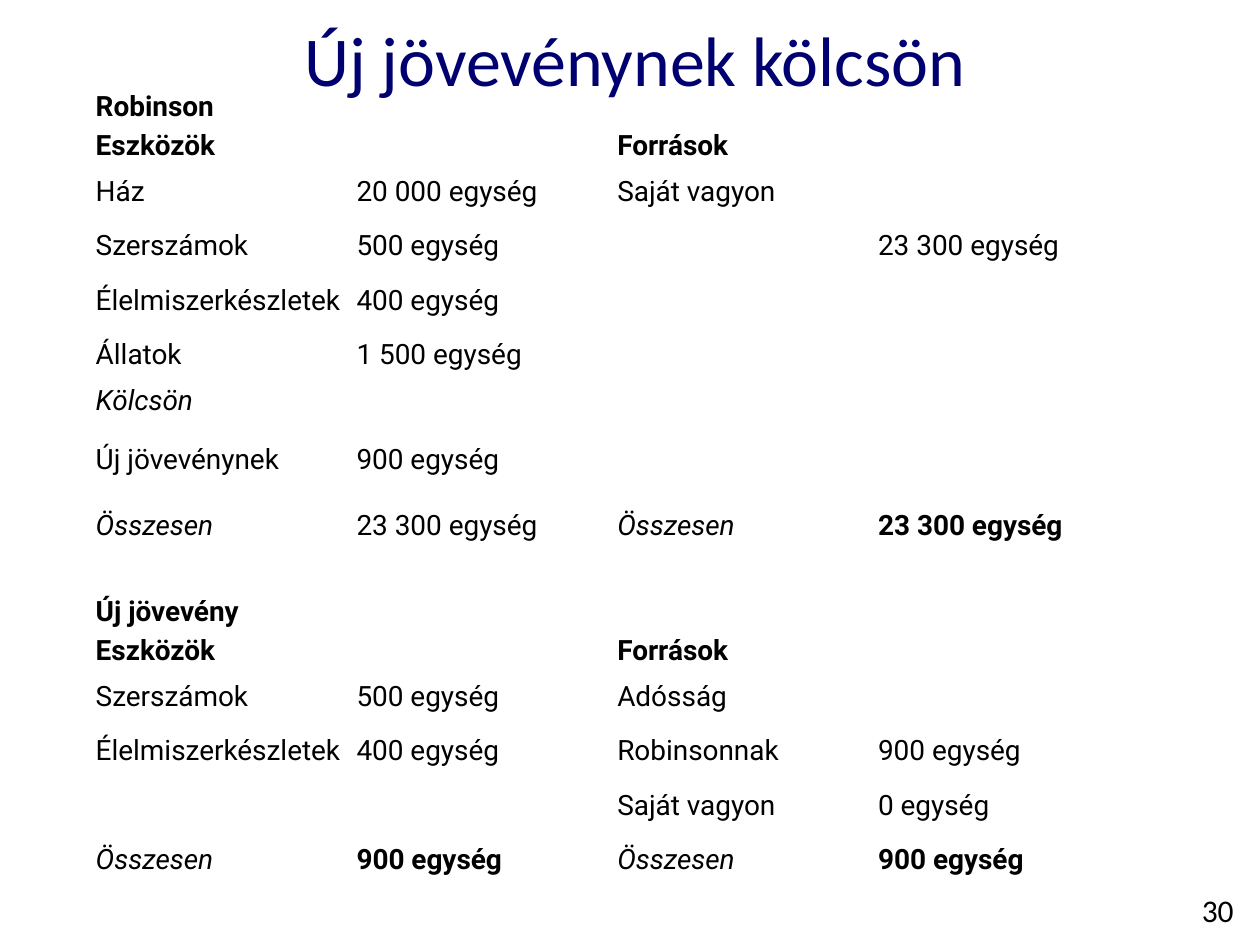
from lxml import etree
from pptx import Presentation
from pptx import util as u
from pptx.dml import color
from pptx.enum import text
from pptx.oxml import ns

prs = Presentation()
prs.slide_width, prs.slide_height = u.Inches(10), u.Inches(7.5)
s = prs.slides.add_slide(prs.slide_layouts[5])


def style(p, size, name, rgb, bold=False, italic=False):
    for r in p.runs:
        f = r.font
        f.size, f.name, f.bold, f.italic = u.Pt(size), name, bold, italic
        f.color.rgb = color.RGBColor.from_string(rgb)


def clear(c):
    tc_pr = c._tc.get_or_add_tcPr()
    for side in "LRTB":
        ln = etree.SubElement(tc_pr, ns.qn("a:ln" + side), w="0")
        etree.SubElement(ln, ns.qn("a:noFill"))
    c.fill.background()
    c.margin_top = c.margin_bottom = 0


title = s.shapes.title
title.left, title.top = u.Inches(0.25), u.Inches(0.05)
title.width, title.height = u.Inches(9.58), u.Inches(0.83)
tf = title.text_frame
tf.text = "Új jövevénynek kölcsön"
tf.vertical_anchor = text.MSO_ANCHOR.MIDDLE
tf.paragraphs[0].alignment = text.PP_ALIGN.CENTER
style(tf.paragraphs[0], 40, "Calibri", "000070")

LOW, MID, TALL = 0.31, 0.43, 0.62
heads = ["*Eszközök", "*Források"]
rows = [
    (LOW, ["*Robinson"]),
    (LOW, heads),
    (MID, ["Ház", "20 000 egység", "Saját vagyon", ""]),
    (MID, ["Szerszámok", "500 egység", "", "23 300 egység"]),
    (MID, ["Élelmiszerkészletek", "400 egység", "", ""]),
    (MID, ["Állatok", "1 500 egység", "", ""]),
    (LOW, ["Kölcsön"]),
    (TALL, ["Új jövevénynek", "900 egység", "", ""]),
    (MID, ["Összesen", "23 300 egység", "Összesen", "*23 300 egység"]),
    (LOW, [""]),
    (LOW, ["*Új jövevény"]),
    (LOW, heads),
    (MID, ["Szerszámok", "500 egység", "Adósság", ""]),
    (MID, ["Élelmiszerkészletek", "400 egység", "Robinsonnak", "900 egység"]),
    (MID, ["", "", "Saját vagyon", "0 egység"]),
    (MID, ["Összesen", "*900 egység", "Összesen", "*900 egység"]),
]
COLS = 4
height = sum(h for h, _ in rows)
gf = s.shapes.add_table(len(rows), COLS, u.Inches(0.73), u.Inches(0.69),
                        u.Inches(2.07 * COLS), u.Inches(height))
for style_id in gf.element.iter(ns.qn("a:tableStyleId")):
    style_id.text = "{2D5ABB26-0587-4C30-8999-92F81FD0307C}"
tbl = gf.table
tbl.first_row = tbl.horz_banding = False
for col in tbl.columns:
    col.width = u.Inches(2.07)

for i, (h, values) in enumerate(rows):
    tbl.rows[i].height = u.Inches(h)
    for c in tbl.rows[i].cells:
        clear(c)
    span = COLS // len(values)
    for j, value in enumerate(values):
        c = tbl.cell(i, j * span)
        if span > 1:
            c.merge(tbl.cell(i, (j + 1) * span - 1))
        if not value:
            continue
        c.margin_left, c.margin_right = u.Inches(0.03), u.Inches(0.07)
        c.margin_top = c.margin_bottom = u.Inches(0.02)
        c.vertical_anchor = text.MSO_ANCHOR.MIDDLE
        c.text_frame.text = value.lstrip("*")
        style(c.text_frame.paragraphs[0], 16, "Roboto", "000000",
              value.startswith("*"), value in ("Összesen", "Kölcsön"))

sp = s.shapes.add_textbox(u.Inches(9.33), u.Inches(7.02), u.Inches(0.67), u.Inches(0.4))
tf = sp.text_frame
tf.word_wrap = True
tf.text = "30"
tf.paragraphs[0].alignment = text.PP_ALIGN.CENTER
style(tf.paragraphs[0], 18, "Calibri", "000000")

prs.save("out.pptx")
